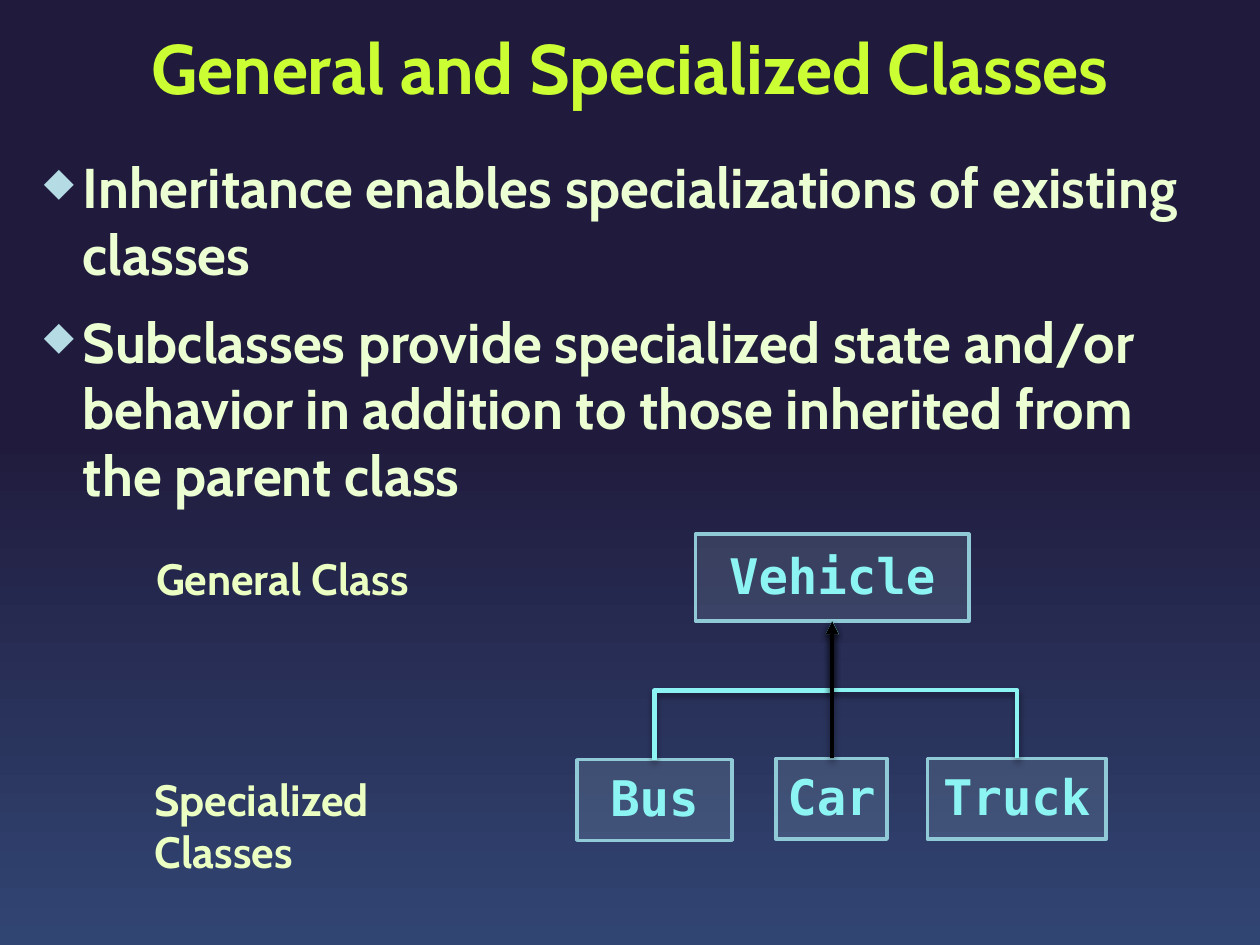
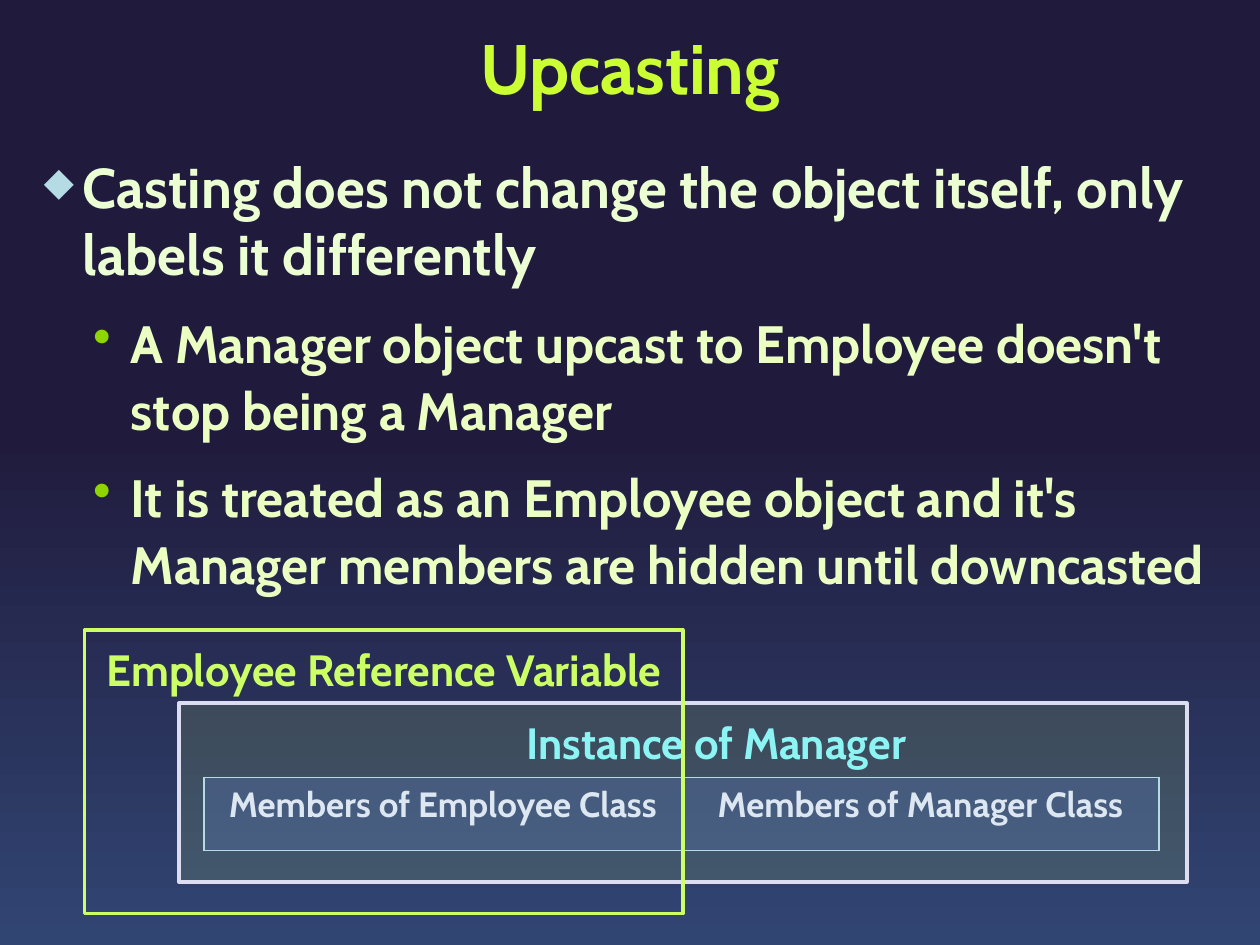
from dataclasses import dataclass
from typing import Optional

import lxml.etree
import pptx
import pptx.dml.color
import pptx.enum.shapes
import pptx.enum.text
import pptx.oxml.ns
import pptx.util
from pptx.util import Inches

qn = pptx.oxml.ns.qn
ALIGN = pptx.enum.text.PP_ALIGN
ANCHOR = pptx.enum.text.MSO_ANCHOR
CONNECTOR = pptx.enum.shapes.MSO_CONNECTOR

COLORS = {
    "background_bottom": "314573",
    "background_top": "201B3D",
    "title": "CCFF33",
    "body": "EBFFD2",
    "soft_lime": "EBFFC2",
    "lime": "CCFF66",
    "pale_blue": "B5DBE5",
    "green_bullet": "8FD600",
    "class_line": "90CAD7",
    "cyan": "8CF4F2",
    "instance_line": "DCDDF0",
    "member_fill": "5674B6",
    "member_text": "DDE7F2",
    "black": "000000",
}
TEXT_FONT = "Cabin"
CODE_FONT = "DejaVu Sans Mono"


@dataclass
class TextStyle:
    size: float
    color: str
    font: str = TEXT_FONT
    align: ALIGN = ALIGN.LEFT
    line_spacing: Optional[float] = None


@dataclass
class BulletStyle:
    text: TextStyle
    symbol: str
    color: str
    scale: int
    margin: float
    hanging: float
    level: int


@dataclass
class Box:
    left: float
    top: float
    width: float
    height: float
    text: str
    style: TextStyle
    line: str
    fill: Optional[str] = None
    opacity: int = 100
    anchor: ANCHOR = ANCHOR.MIDDLE
    wrap: bool = True
    inset_left: float = 0.1
    inset_top: float = 0.05


TITLE = TextStyle(40, "title", align=ALIGN.CENTER, line_spacing=40)
LABEL = TextStyle(25, "soft_lime")
CLASS_NAME = TextStyle(28, "cyan", CODE_FONT, ALIGN.CENTER, 0.95)
MEMBER = TextStyle(20, "member_text", align=ALIGN.CENTER)
POINT = BulletStyle(TextStyle(32, "body", line_spacing=38), "◆", "pale_blue", 70, 0.31, 0.31, 0)
SUBPOINT = BulletStyle(TextStyle(30, "soft_lime", line_spacing=38), "•", "green_bullet", 100, 0.69, 0.3, 1)


def rgb(name: str) -> pptx.dml.color.RGBColor:
    return pptx.dml.color.RGBColor.from_string(COLORS[name])


def add_child(parent, tag: str, **attributes):
    values = {key: str(value) for key, value in attributes.items()}
    return lxml.etree.SubElement(parent, qn(tag), values)


def set_fill(fill, properties, color: str, opacity: int) -> None:
    fill.solid()
    fill.fore_color.rgb = rgb(color)
    color_element = properties.find(qn("a:solidFill")).find(qn("a:srgbClr"))
    add_child(color_element, "a:alpha", val=opacity * 1000)


def write(paragraph, text: str, style: TextStyle) -> None:
    paragraph.text = text
    paragraph.alignment = style.align
    if style.line_spacing:
        exact = style.line_spacing > 5
        paragraph.line_spacing = pptx.util.Pt(style.line_spacing) if exact else style.line_spacing
    font = paragraph.font
    font.name, font.size, font.bold = style.font, pptx.util.Pt(style.size), True
    font.color.rgb = rgb(style.color)


def add_text(slide, left: float, top: float, width: float, height: float):
    shape = slide.shapes.add_textbox(Inches(left), Inches(top), Inches(width), Inches(height))
    shape.text_frame.word_wrap = True
    return shape.text_frame


def add_label(slide, left: float, top: float, text: str) -> None:
    write(add_text(slide, left, top, 2.58, 0.52).paragraphs[0], text, LABEL)


def write_bullet(paragraph, text: str, style: BulletStyle) -> None:
    paragraph.level = style.level
    paragraph.line_spacing = pptx.util.Pt(style.text.line_spacing)
    paragraph.space_before = paragraph.space_after = pptx.util.Pt(6)
    properties = paragraph._p.get_or_add_pPr()
    properties.set("marL", str(Inches(style.margin)))
    properties.set("indent", str(-Inches(style.hanging)))
    add_child(add_child(properties, "a:buClr"), "a:srgbClr", val=COLORS[style.color])
    add_child(properties, "a:buSzPct", val=style.scale * 1000)
    add_child(properties, "a:buChar", char=style.symbol)
    write(paragraph, text, style.text)


def add_slide(presentation, title: str, body_height: float, points: list):
    slide = presentation.slides.add_slide(presentation.slide_layouts[6])
    fill = slide.background.fill
    fill.gradient()
    fill.gradient_angle = 90
    stops = (("background_bottom", 0), ("background_top", 0.54))
    for stop, (color, position) in zip(fill.gradient_stops, stops):
        stop.color.rgb = rgb(color)
        stop.position = position

    title_frame = add_text(slide, 0.25, 0.08, 9.5, 1)
    title_frame.vertical_anchor = ANCHOR.MIDDLE
    write(title_frame.paragraphs[0], title, TITLE)

    body = add_text(slide, 0.25, 1.17, 9.5, body_height)
    for index, (style, text) in enumerate(points):
        paragraph = body.add_paragraph() if index else body.paragraphs[0]
        write_bullet(paragraph, text, style)
    return slide


def add_box(slide, box: Box):
    shape = slide.shapes.add_shape(
        pptx.enum.shapes.MSO_SHAPE.RECTANGLE,
        Inches(box.left), Inches(box.top), Inches(box.width), Inches(box.height))
    shape.shadow.inherit = False
    if box.fill:
        set_fill(shape.fill, shape._element.spPr, box.fill, box.opacity)
    else:
        shape.fill.background()
    shape.line.color.rgb = rgb(box.line)
    shape.line.width = pptx.util.Pt(2)
    frame = shape.text_frame
    frame.word_wrap = box.wrap
    frame.vertical_anchor = box.anchor
    frame.margin_left, frame.margin_top = Inches(box.inset_left), Inches(box.inset_top)
    write(frame.paragraphs[0], box.text, box.style)
    return shape


def add_class_box(slide, name: str, left: float, top: float, width: float, height: float = 0.64):
    return add_box(slide, Box(left, top, width, height, name, CLASS_NAME, "class_line",
                              "pale_blue", 15, wrap=False))


def add_inheritance_arrow(slide, child, parent, color: str, bent: bool) -> None:
    kind = CONNECTOR.ELBOW if bent else CONNECTOR.STRAIGHT
    start_x, start_y = child.left + child.width // 2, child.top
    end_x, end_y = parent.left + parent.width // 2, parent.top + parent.height
    if not bent:
        start_x = end_x
    connector = slide.shapes.add_connector(kind, start_x, start_y, end_x, end_y)
    properties = connector._element.spPr
    if bent:
        # Turn the elbow so that it leaves and arrives vertically
        connector.begin_connect(child, 0)
        connector.end_connect(parent, 2)
        rise, run = start_y - end_y, abs(end_x - start_x)
        connector.width, connector.height = rise, run
        connector.left = (start_x + end_x - rise) // 2
        connector.top = (start_y + end_y - run) // 2
        from_left = start_x < end_x
        transform = properties.find(qn("a:xfrm"))
        transform.set("rot", str((90 if from_left else 270) * 60000))
        transform.set("flipH", "1" if from_left else "0")
        transform.set("flipV", "1")
    connector.line.color.rgb = rgb(color)
    connector.line.width = pptx.util.Pt(2.5)
    add_child(properties.find(qn("a:ln")), "a:tailEnd", type="triangle")
    shadow = add_child(add_child(properties, "a:effectLst"), "a:outerShdw",
                       blurRad=pptx.util.Pt(4), dist=pptx.util.Pt(2), dir=90 * 60000, rotWithShape=0)
    shadow_color = add_child(shadow, "a:srgbClr", val=COLORS["black"])
    add_child(shadow_color, "a:alpha", val=43000)


def add_member_table(slide, names: list) -> None:
    frame = slide.shapes.add_table(1, len(names), Inches(1.62), Inches(6.17), Inches(7.58), Inches(0.58))
    table = frame.table
    table.first_row = table.horz_banding = False
    for cell, name in zip(table.rows[0].cells, names):
        write(cell.text_frame.paragraphs[0], name, MEMBER)
        properties = cell._tc.get_or_add_tcPr()
        for side in ("L", "R", "T", "B"):
            border = add_child(properties, f"a:ln{side}", w=pptx.util.Pt(1))
            add_child(add_child(border, "a:solidFill"), "a:srgbClr", val=COLORS["pale_blue"])
        set_fill(cell.fill, properties, "member_fill", 33)


def build_classes_slide(presentation) -> None:
    slide = add_slide(presentation, "General and Specialized Classes", 2.95, [
        (POINT, "Inheritance enables specializations of existing classes"),
        (POINT, "Subclasses provide specialized state and/or behavior in addition to "
                "those inherited from the parent class"),
    ])
    # Class hierarchy
    vehicle = add_class_box(slide, "Vehicle", 5.52, 4.24, 2.17, 0.69)
    truck = add_class_box(slide, "Truck", 7.36, 6.02, 1.42)
    bus = add_class_box(slide, "Bus", 4.58, 6.03, 1.23)
    car = add_class_box(slide, "Car", 6.16, 6.02, 0.88)
    add_label(slide, 1.14, 4.33, "General Class")
    add_label(slide, 1.13, 6.08, "Specialized Classes")
    add_inheritance_arrow(slide, bus, vehicle, "cyan", bent=True)
    add_inheritance_arrow(slide, truck, vehicle, "cyan", bent=True)
    add_inheritance_arrow(slide, car, vehicle, "black", bent=False)


def build_upcasting_slide(presentation) -> None:
    slide = add_slide(presentation, "Upcasting", 3.58, [
        (POINT, "Casting does not change the object itself, only labels it differently"),
        (SUBPOINT, "A Manager object upcast to Employee doesn't stop being a Manager"),
        (SUBPOINT, "It is treated as an Employee object and it's Manager members are "
                   "hidden until downcasted"),
    ])
    # Instance with its members, seen through the reference variable
    add_box(slide, Box(1.42, 5.58, 8, 1.42, "Instance of Manager",
                       TextStyle(25, "cyan", align=ALIGN.CENTER), "instance_line", "lime", 12,
                       ANCHOR.TOP, inset_left=0.63, inset_top=0.1))
    add_member_table(slide, ["Members of Employee Class", "Members of Manager Class"])
    add_box(slide, Box(0.67, 5, 4.75, 2.25, "Employee Reference Variable",
                       TextStyle(25, "lime", align=ALIGN.CENTER), "lime",
                       anchor=ANCHOR.TOP, inset_top=0.1))


def main() -> None:
    presentation = pptx.Presentation()
    presentation.slide_width, presentation.slide_height = Inches(10), Inches(7.5)
    build_classes_slide(presentation)
    build_upcasting_slide(presentation)
    presentation.save("out.pptx")


if __name__ == "__main__":
    main()
